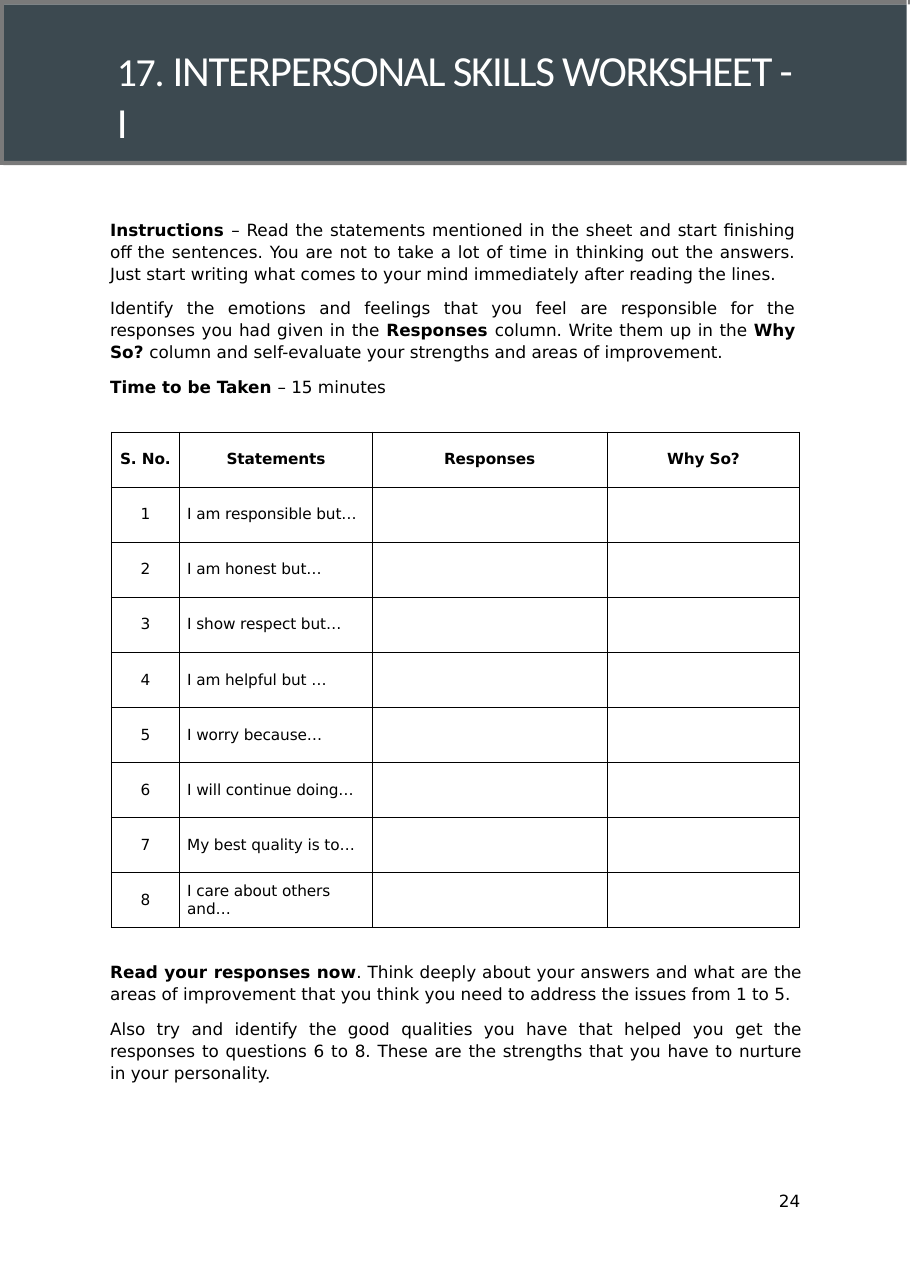
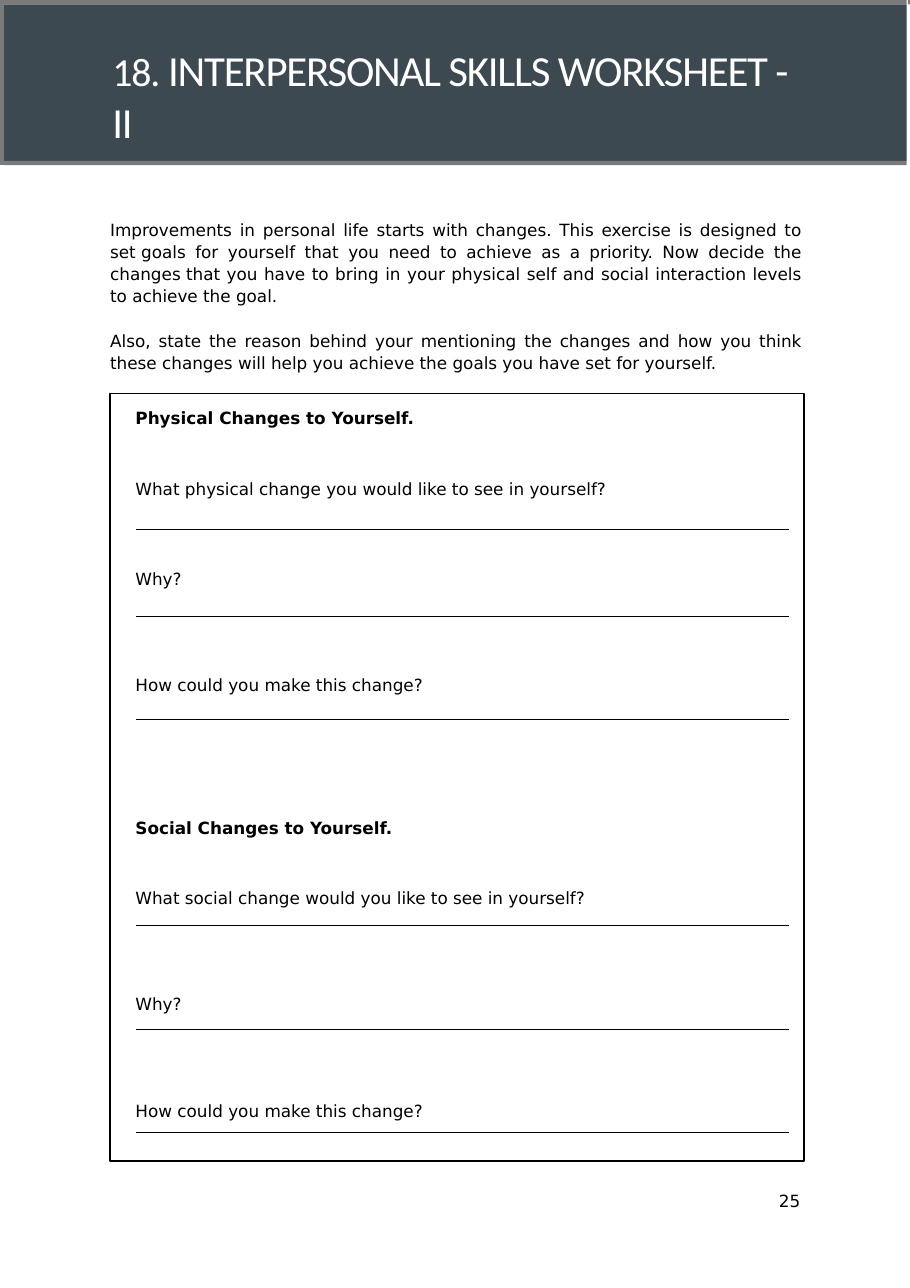
from dataclasses import dataclass
from itertools import pairwise

from lxml.etree import SubElement
from pptx import Presentation
from pptx.dml.color import RGBColor
from pptx.enum.shapes import MSO_CONNECTOR as Link, MSO_SHAPE as Kind
from pptx.enum.text import MSO_ANCHOR as Anchor, PP_ALIGN as Align
from pptx.oxml import parse_xml
from pptx.oxml.ns import nsdecls, qn
from pptx.util import Inches, Pt


@dataclass(frozen=True)
class Theme:
    band: str = "3C4950"
    edge: str = "7A7A7A"
    ink: str = "000000"
    light: str = "FFFFFF"
    head: str = "Calibri"
    body: str = "DejaVu Sans"
    title: float = 28
    number: float = 26
    text: float = 11
    cell: float = 10


T = Theme()
WIDE, HIGH = 8.26, 11.69
LEFT, SPAN = 0.99, 6.29
TIE = chr(160)


def write(frame, text, font=T.body, size=T.text, color=T.ink, bold=False,
          track=-0.03, mark=None, align=Align.LEFT, lead=1, before=0,
          first=True):
    """Write one paragraph: *marked* parts get the mark format, ~ ties words."""
    para = frame.paragraphs[0] if first else frame.add_paragraph()
    para.alignment, para.line_spacing = align, lead
    para.space_before, para.space_after = Pt(before), Pt(0)
    base = {"size": size, "bold": bold}
    for n, part in enumerate(text.replace("~", TIE).split("*")):
        if not part:
            continue
        look = {**base, **(mark or {"bold": True})} if n % 2 else base
        run = para.add_run()
        run.text = part
        run.font.name, run.font.size = font, Pt(look["size"])
        run.font.bold = look["bold"]
        run.font.color.rgb = RGBColor.from_string(color)
        run.font._element.set("spc", str(round(track * 100)))


def fit(frame, left=0.01, top=0.01, wrap=True):
    frame.word_wrap = wrap
    frame.vertical_anchor = Anchor.TOP
    frame.margin_left, frame.margin_top = Inches(left), Inches(top)
    frame.margin_right = frame.margin_bottom = 0
    return frame


class Sheet:
    """Draws worksheet pages in one style on the current slide."""

    def __init__(self):
        self.deck = Presentation()
        self.deck.slide_width = Inches(WIDE)
        self.deck.slide_height = Inches(HIGH)

    def page(self, title, number, left):
        self.slide = self.deck.slides.add_slide(self.deck.slide_layouts[5])
        self.shapes = self.slide.shapes
        self.rect(0.03, 0.04, 8.2, 1.42, fill=T.band)
        for x, y, w in ((0, 0, 0.04), (0.03, 0, 8.2), (8.24, 0, 0.03),
                        (0.03, 1.46, 8.2)):
            self.rect(x, y, w, 0.04, fill=T.edge)
        self.line(0.02, 0.04, 0.02, 1.5, T.edge, 2.52)
        self.title(title, left)
        self.block(7.05, 10.79, 0.25, 0.21, [(number, 0)], pad=0.02,
                   wrap=False, align=Align.LEFT)

    def title(self, text, left):
        shape = self.shapes.title
        shape.left, shape.top = Inches(left), Inches(0.39)
        shape.width, shape.height = Inches(6.2), Inches(0.49)
        write(fit(shape.text_frame), text, font=T.head, size=T.title,
              color=T.light, track=-0.8, mark={"size": T.number})
        shape.element.getparent().append(shape.element)

    def rect(self, x, y, w, h, fill=None, line=None, width=1):
        shape = self.shapes.add_shape(
            Kind.RECTANGLE, Inches(x), Inches(y), Inches(w), Inches(h))
        shape.shadow.inherit = False
        for part, color in ((shape.fill, fill), (shape.line.fill, line)):
            if color:
                part.solid()
                part.fore_color.rgb = RGBColor.from_string(color)
            else:
                part.background()
        if line:
            shape.line.width = Pt(width)
        return shape

    def line(self, x1, y1, x2, y2, color=T.ink, width=0.65):
        link = self.shapes.add_connector(
            Link.STRAIGHT, Inches(x1), Inches(y1), Inches(x2), Inches(y2))
        link.line.color.rgb = RGBColor.from_string(color)
        link.line.width = Pt(width)
        SubElement(link.element.spPr, qn("a:effectLst"))

    def block(self, x, y, w, h, paras, pad=0.01, wrap=True,
              align=Align.JUSTIFY, lead=1.09):
        """Add a text box from pairs of text and space before."""
        box = self.shapes.add_textbox(
            Inches(x), Inches(y), Inches(w), Inches(h))
        frame = fit(box.text_frame, pad, pad, wrap)
        for n, (text, gap) in enumerate(paras):
            write(frame, text, align=align, lead=lead if wrap else 1,
                  before=gap, first=n == 0)

    def form(self, x, y, w, h, paras):
        """Add an outlined box of (text, space before, bold) prompts."""
        shape = self.rect(x, y, w, h, line=T.ink, width=0.96)
        frame = fit(shape.text_frame, 0.23, 0.13)
        for n, (text, gap, bold) in enumerate(paras):
            write(frame, text, bold=bold, before=gap, first=n == 0)

    def table(self, x, y, cols, high, rows):
        grid = self.shapes.add_table(
            len(rows), len(cols), Inches(x), Inches(y),
            Inches(sum(cols)), Inches(high * len(rows))).table
        grid.first_row = grid.horz_banding = False
        for col, wide in zip(grid.columns, cols):
            col.width = Inches(wide)
        for r, row in enumerate(rows):
            grid.rows[r].height = Inches(high)
            for c, text in enumerate(row):
                self.cell(grid.cell(r, c), text, head=r == 0,
                          mid=r == 0 or c == 0)

    def cell(self, cell, text, head, mid):
        cell.vertical_anchor = Anchor.MIDDLE
        cell.margin_top = cell.margin_bottom = 0
        cell.margin_left = cell.margin_right = Inches(0 if mid else 0.07)
        cell.fill.background()
        props = cell._tc.get_or_add_tcPr()
        for n, side in enumerate("LRTB"):
            props.insert(n, parse_xml(
                f'<a:ln{side} {nsdecls("a")} w="{Pt(0.5)}"><a:solidFill>'
                f'<a:srgbClr val="{T.ink}"/></a:solidFill></a:ln{side}>'))
        write(cell.text_frame, text, size=T.cell, bold=head, track=-0.05,
              align=Align.CENTER if mid else Align.LEFT)


def skills(sheet):
    sheet.page("*17. *INTERPERSONAL SKILLS WORKSHEET - I", "24", 1.05)
    sheet.block(LEFT, 1.97, 6.23, 1.65, [
        ("*Instructions *– Read the statements mentioned in the sheet and "
         "start finishing off~the sentences. You are not to take a lot of "
         "time in thinking out the answers. Just~start writing what comes "
         "to your mind immediately after reading the lines.", 0),
        ("Identify the emotions and feelings that you feel are responsible "
         "for the responses you had given in the *Responses *column. Write "
         "them up in the *Why So? *column and self-evaluate your strengths "
         "and areas of improvement.", 7.9),
        ("*Time to be Taken *– 15 minutes", 8.4)])
    lines = ["I am responsible but…", "I am honest but…",
             "I show respect but…", "I am helpful but …",
             "I worry because…", "I will continue doing…",
             "My best quality is to…", "I care about others and…"]
    rows = [("S. No.", "Statements", "Responses", "Why So?")]
    rows += [(str(n), text, "", "") for n, text in enumerate(lines, 1)]
    sheet.table(1.01, 3.92, (0.62, 1.75, 2.13, 1.75), 0.5, rows)
    sheet.block(LEFT, 8.7, SPAN, 1.14, [
        ("*Read your responses now*. Think deeply about your answers and "
         "what are the areas of improvement that you think you need to "
         "address the issues from 1 to 5.", 0),
        ("Also try and identify the good qualities you have that helped you "
         "get the responses to questions 6 to 8. These are the strengths "
         "that you have to nurture in~your personality.", 8.6)])


def changes(sheet):
    sheet.page("*18. *INTERPERSONAL SKILLS WORKSHEET - II", "25", 1.01)
    sheet.block(LEFT, 1.97, SPAN, 1.43, [
        ("Improvements in personal life starts with changes. This exercise "
         "is designed to set~goals for yourself that you need to achieve as "
         "a priority. Now decide the changes~that you have to bring in your "
         "physical self and social interaction levels to~achieve~the goal.",
         0),
        ("Also, state the reason behind your mentioning the changes and how "
         "you think these changes will help you achieve the goals you have "
         "set for yourself.", 14.9)])
    start, split, end = 1.23, 4.24, 7.16
    stops = {4.81: (start, 4.54, 6.28, end), 5.6: (start, 4.54, end)}
    for y in (4.81, 5.6, 6.53, 8.4, 9.34, 10.28):
        for x1, x2 in pairwise(stops.get(y, (start, split, end))):
            sheet.line(x1, y, x2, y)
    how = "How could you make this change?"
    sheet.form(1, 3.57, 6.3, 6.97, [
        ("Physical Changes to Yourself.", 0, True),
        ("What physical change you would like to see in yourself?",
         33, False),
        ("Why?", 46, False),
        (how, 55.8, False),
        ("Social Changes to Yourself.", 80, True),
        ("What social change would you like to see in yourself?",
         33, False),
        ("Why?", 55.8, False),
        (how, 56.5, False)])


def main():
    sheet = Sheet()
    skills(sheet)
    changes(sheet)
    sheet.deck.save("out.pptx")


if __name__ == "__main__":
    main()
